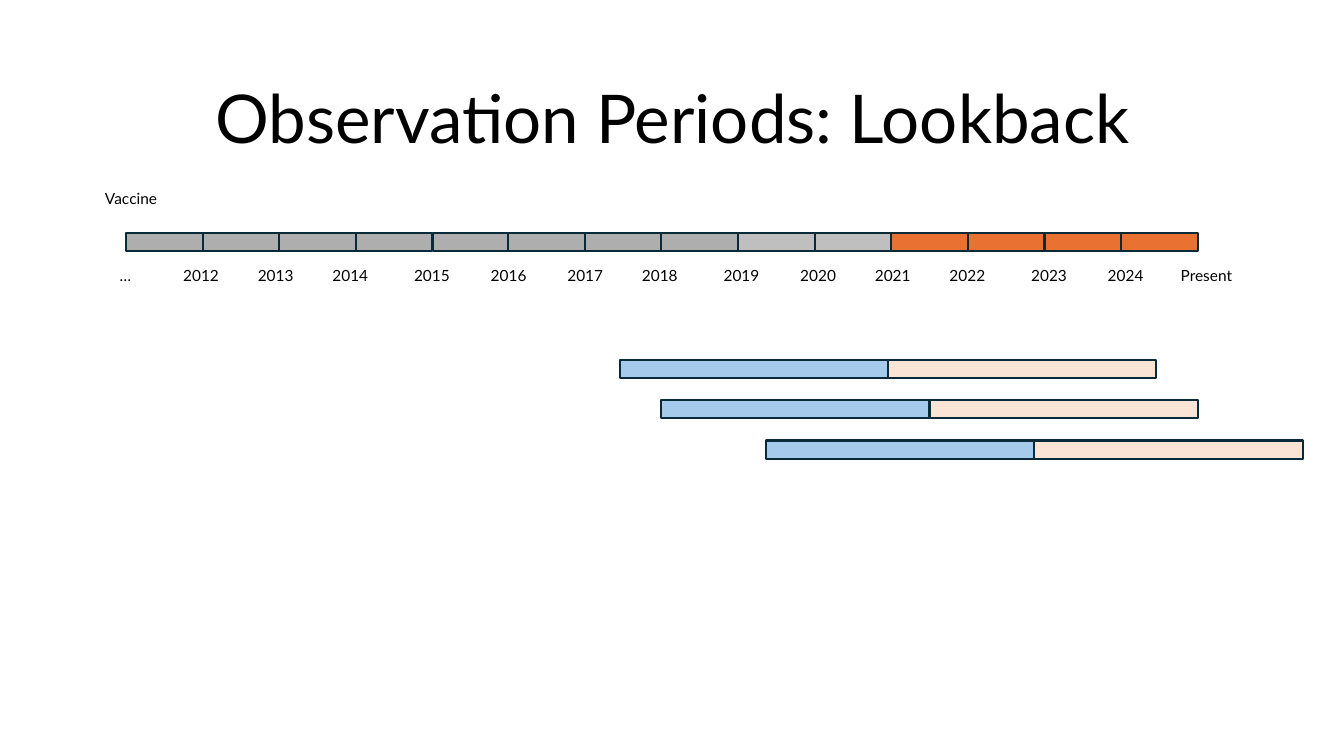
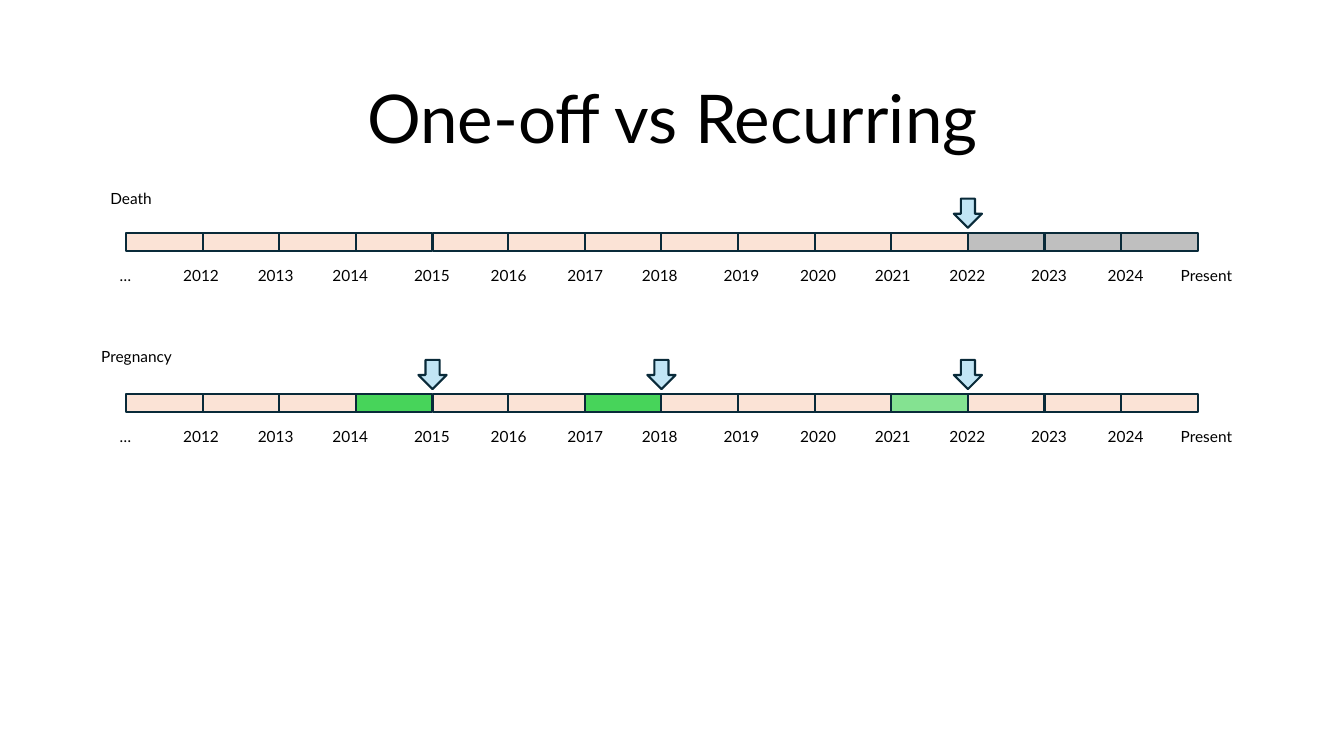
from pptx import Presentation
from pptx import util as u
from pptx.dml.color import RGBColor
from pptx.enum import shapes, text

PX = 9144  # EMU per px, 100 px to the inch
BAR_LEFT, YEAR_STEP, BAR_HEIGHT = 125, 75.9, 18
YEAR_LABELS = ["…", *map(str, range(2012, 2025)), "Present"]
# The label columns are set by hand and do not follow the bar exactly.
LABEL_LEFTS = [91, 166, 240, 314, 395, 471, 547, 621, 702, 778, 852, 926, 1007, 1083, 1159]

BLACK, OUTLINE = "000000", "092A39"
DARK_GREY, GREY, ORANGE, PEACH = "AEAEAE", "BFBFBF", "E97132", "FBE3D6"
BLUE, PALE_BLUE = "A6CAEC", "C1E5F5"
GREEN, PALE_GREEN = "47D45A", "84E291"


def rgb(value):
    return RGBColor.from_string(value)


def px(*lengths):
    return [u.Emu(length * PX) for length in lengths]


def year_edge(index):
    """Left edge in px of the given timeline segment."""
    return round(BAR_LEFT + index * YEAR_STEP)


class Deck:
    FONT = "Lato"

    def __init__(self):
        self.prs = Presentation()
        self.prs.slide_width, self.prs.slide_height = px(1333, 750)
        self.slide = None

    def add_slide(self, title):
        self.slide = self.prs.slides.add_slide(self.prs.slide_layouts[5])
        heading = self.slide.shapes.title
        heading.left, heading.top, heading.width, heading.height = px(167, 71, 1000, 91)
        frame = heading.text_frame
        frame.auto_size = text.MSO_AUTO_SIZE.NONE
        frame.vertical_anchor = text.MSO_ANCHOR.BOTTOM
        self.set_text(frame, title, 48)
        frame.paragraphs[0].line_spacing = 0.9

    def set_text(self, frame, words, size):
        frame.text = words
        frame.word_wrap = True
        paragraph = frame.paragraphs[0]
        paragraph.alignment = text.PP_ALIGN.CENTER
        paragraph.font.name = self.FONT
        paragraph.font.size = u.Pt(size)
        paragraph.font.color.rgb = rgb(BLACK)

    def label(self, words, left, top, width):
        box = self.slide.shapes.add_textbox(*px(left, top, width, 29))
        self.set_text(box.text_frame, words, 11)
        box.text_frame.auto_size = text.MSO_AUTO_SIZE.SHAPE_TO_FIT_TEXT

    def block(self, left, top, width, height, fill, preset=shapes.MSO_SHAPE.RECTANGLE):
        block = self.slide.shapes.add_shape(preset, *px(left, top, width, height))
        block.shadow.inherit = False
        block.fill.solid()
        block.fill.fore_color.rgb = rgb(fill)
        block.line.color.rgb = rgb(OUTLINE)
        block.line.width = u.Pt(1.5)

    def timeline(self, top, fills):
        """Draw one segment per fill, with the years below."""
        for index, fill in enumerate(fills):
            left = year_edge(index)
            self.block(left, top, year_edge(index + 1) - left, BAR_HEIGHT, fill)
        for year, left in zip(YEAR_LABELS, LABEL_LEFTS):
            self.label(year, left, top + 28, 75 if year == "Present" else 67)

    def event(self, year, bar_top):
        """Point an arrow at the start of a year on the bar below."""
        centre = year_edge(YEAR_LABELS.index(year))
        self.block(centre - 14, bar_top - 34, 28, 29, PALE_BLUE, shapes.MSO_SHAPE.DOWN_ARROW)

    def observation(self, left, top):
        """Draw a lookback period followed by a follow-up of equal length."""
        length = 266
        self.block(left + length, top, length, BAR_HEIGHT, PEACH)
        self.block(left, top, length, BAR_HEIGHT, BLUE)


def lookback_slide(deck):
    deck.add_slide("Observation Periods: Lookback")
    deck.label("Vaccine", 91, 183, 78)
    deck.timeline(231, [DARK_GREY] * 8 + [GREY] * 2 + [ORANGE] * 4)
    for row, left in enumerate((615, 656, 760)):
        deck.observation(left, 357 + 40 * row)


def recurring_slide(deck):
    deck.add_slide("One-off vs Recurring")
    death_top, pregnancy_top = 231, 391

    deck.label("Death", 91, 183, 78)
    deck.timeline(death_top, [PEACH] * 11 + [GREY] * 3)
    deck.event("2022", death_top)

    deck.label("Pregnancy", 65, 339, 141)
    pregnancies = {3: GREEN, 6: GREEN, 10: PALE_GREEN}
    deck.timeline(pregnancy_top, [pregnancies.get(index, PEACH) for index in range(14)])
    for year in ("2015", "2018", "2022"):
        deck.event(year, pregnancy_top)


def main():
    deck = Deck()
    lookback_slide(deck)
    recurring_slide(deck)
    deck.prs.save("out.pptx")


if __name__ == "__main__":
    main()
